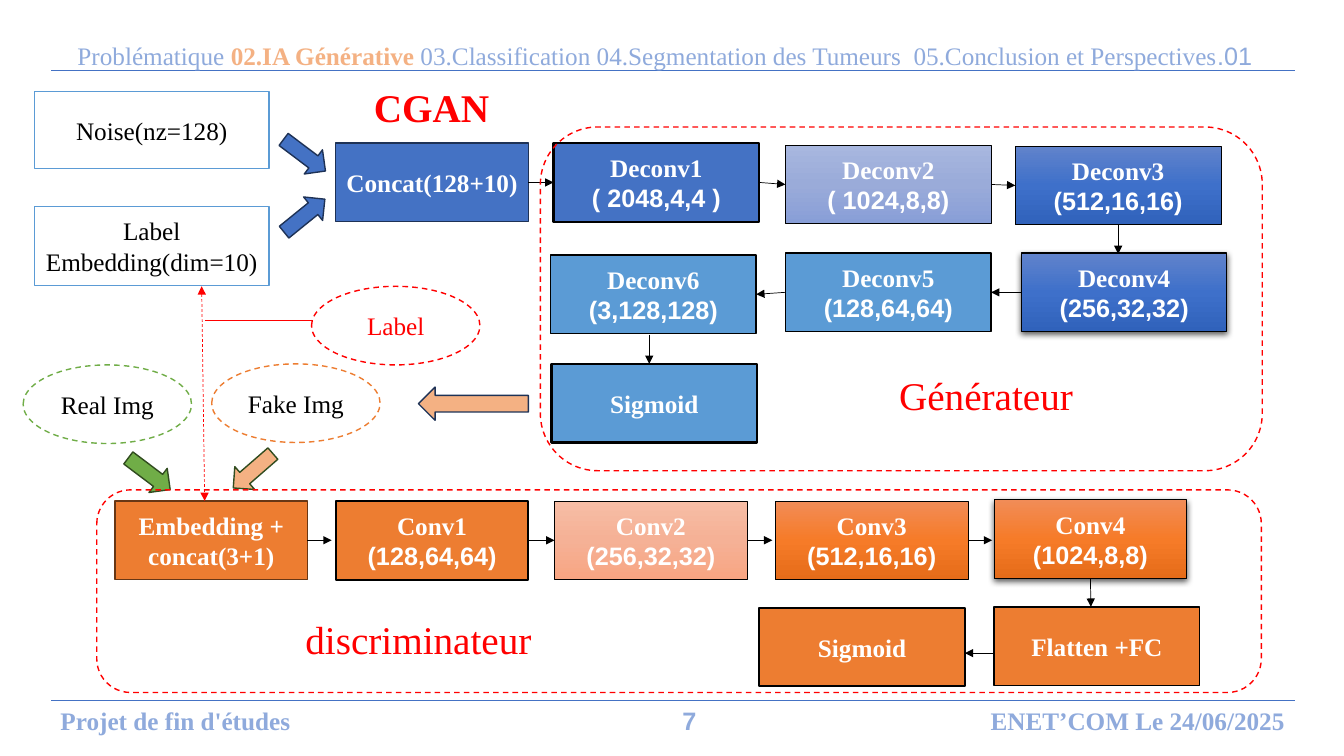
from copy import deepcopy

from lxml.etree import SubElement
from pptx import Presentation
from pptx.dml.color import RGBColor
from pptx.enum.dml import MSO_LINE
from pptx.enum.shapes import MSO_CONNECTOR, MSO_SHAPE
from pptx.enum.text import MSO_ANCHOR, MSO_AUTO_SIZE, PP_ALIGN
from pptx.oxml.ns import qn
from pptx.util import Inches, Pt

WHITE, BLACK, RED = RGBColor(255, 255, 255), RGBColor(0, 0, 0), RGBColor(255, 0, 0)
BLUE, SKY, PALE_BLUE = RGBColor(0x44, 0x72, 0xC4), RGBColor(0x5B, 0x9B, 0xD5), RGBColor(0x8F, 0xAA, 0xDC)
ORANGE, PEACH, GREEN = RGBColor(0xED, 0x7D, 0x31), RGBColor(0xF4, 0xB1, 0x83), RGBColor(0x70, 0xAD, 0x47)
NAVY, BROWN, MOSS = RGBColor(0x1E, 0x32, 0x56), RGBColor(0x68, 0x37, 0x15), RGBColor(0x31, 0x4C, 0x1F)
BLUE_FADE = [RGBColor.from_string(c) for c in ("6183CB", "3E70CA", "3062BB")]
LILAC_FADE = [RGBColor.from_string(c) for c in ("A8B7DF", "9AABD9", "889ED7")]
ORANGE_FADE = [RGBColor.from_string(c) for c in ("F18C57", "F67B28", "E56C19")]
SALMON_FADE = [RGBColor.from_string(c) for c in ("F7BDA5", "F5B196", "F8A582")]

FONT, DIGIT_FONT = "Times New Roman", "Arial"
WIDE, NARROW, HEIGHT = 2.04, 1.91, 0.78
TOP, LEFT, BOTTOM, RIGHT = 0, 1, 2, 3

# left, top, width, alignment, runs of (text, colour, bold)
TEXTS = [
    (0.24, 6.95, 3, PP_ALIGN.CENTER, [("Projet de fin d'études", PALE_BLUE, True)]),
    (6.18, 6.95, 6.66, PP_ALIGN.RIGHT, [("ENET’COM Le 24/06/2025", PALE_BLUE, True)]),
    (6.67, 6.95, 2.11, None, [("7", PALE_BLUE, True)]),
    (0.67, 0.35, 12.22, None, [
        ("01.Problématique ", PALE_BLUE, False),
        ("02.IA Générative ", PEACH, True),
        ("03.Classification 04.Segmentation des Tumeurs  05.Conclusion et Perspectives", PALE_BLUE, False)]),
]
RULES = [0.7, 6.95]

# name: lines, left, top, width, fill, outline, outline width
BLOCKS = {
    "concat": (["Concat(128+10)"], 3.33, 1.42, NARROW, BLUE, NAVY, 1),
    "deconv1": (["Deconv1", "( 2048,4,4 )"], 5.49, 1.42, WIDE, BLUE, BLACK, 1.5),
    "deconv2": (["Deconv2", "(1024,8,8 )"], 7.79, 1.44, WIDE, LILAC_FADE, BLACK, 0.5),
    "deconv3": (["Deconv3", "(512,16,16)"], 10.07, 1.45, WIDE, BLUE_FADE, BLACK, 0.5),
    "deconv4": (["Deconv4", "(256,32,32)"], 10.13, 2.51, WIDE, BLUE_FADE, BLACK, 0.75),
    "deconv5": (["Deconv5", "(128,64,64)"], 7.79, 2.51, WIDE, SKY, BLACK, 1),
    "deconv6": (["Deconv6", "(3,128,128)"], 5.46, 2.53, WIDE, SKY, BLACK, 1),
    "generator sigmoid": (["Sigmoid"], 5.47, 3.61, WIDE, SKY, BLACK, 1.5),
    "embedding": (["Embedding + concat(3+1)"], 1.14, 4.97, NARROW, ORANGE, BROWN, 1),
    "conv1": (["Conv1", "(128,64,64)"], 3.33, 4.97, NARROW, ORANGE, BLACK, 1.5),
    "conv2": (["Conv2", "(256,32,32)"], 5.5, 4.97, NARROW, SALMON_FADE, BLACK, 0.5),
    "conv3": (["Conv3", "(512,16,16)"], 7.69, 4.97, NARROW, ORANGE_FADE, BLACK, 0.5),
    "conv4": (["Conv4", "(1024,8,8)"], 9.86, 4.96, NARROW, ORANGE_FADE, BLACK, 0.75),
    "flatten": (["Flatten +FC"], 9.86, 6.02, WIDE, ORANGE, BLACK, 1),
    "discriminator sigmoid": (["Sigmoid"], 7.53, 6.03, WIDE, ORANGE, BLACK, 1.5),
}
SHADOWED = ["deconv4", "conv4"]
INPUTS = [("Noise(nz=128)", 0.91, 0.76), ("Label Embedding(dim=10)", 2.05, HEIGHT)]
BUBBLES = [
    ("Fake Img", 2.1, 3.61, ORANGE, BLACK),
    ("Real Img", 0.23, 3.62, GREEN, BLACK),
    ("Label", 3.09, 2.84, RED, RED),
]
# text, left, top, width, height, bold
TITLES = [
    ("Générateur", 8.41, 3.46, 2.74, 0.92, False),
    ("discriminateur", 2.34, 5.88, 3.62, 0.92, False),
    ("CGAN", 3.06, 0.78, 2.44, 0.57, True),
]
FRAMES = [(5.36, 1.26, 7.16, 3.41), (0.96, 4.86, 11.55, 2.01)]
# preset, left, top, width, height, rotation, fill, outline
BLOCK_ARROWS = [
    (MSO_SHAPE.RIGHT_ARROW, 2.76, 1.99, 0.52, 0.3, 321, BLUE, NAVY),
    (MSO_SHAPE.RIGHT_ARROW, 2.76, 1.39, 0.52, 0.3, 37, BLUE, NAVY),
    (MSO_SHAPE.LEFT_ARROW, 4.15, 3.84, 1.09, 0.33, 0, PEACH, NAVY),
    (MSO_SHAPE.RIGHT_ARROW, 1.22, 4.55, 0.52, 0.3, 37, GREEN, MOSS),
    (MSO_SHAPE.RIGHT_ARROW, 2.25, 4.52, 0.52, 0.3, 139, PEACH, MOSS),
]
# each end is a (block, side) pair or a point
LINKS = [
    (("concat", RIGHT), ("deconv1", LEFT)),
    (("deconv1", RIGHT), ("deconv2", LEFT)),
    (("deconv2", RIGHT), ("deconv3", LEFT)),
    (("deconv3", BOTTOM), (11.09, 2.52)),
    (("deconv4", LEFT), ("deconv5", RIGHT)),
    (("deconv5", LEFT), ("deconv6", RIGHT)),
    ((6.44, 3.32), (6.44, 3.61)),
    (("embedding", RIGHT), (3.29, 5.36)),
    (("conv1", RIGHT), ("conv2", LEFT)),
    (("conv2", RIGHT), (7.66, 5.36)),
    (("conv3", RIGHT), (9.84, 5.36)),
    (("conv4", BOTTOM), (10.82, 6.02)),
    ((9.86, 6.48), (9.57, 6.48)),
]

deck = Presentation()
deck.slide_width, deck.slide_height = Inches(13.33), Inches(7.5)
page = deck.slides.add_slide(deck.slide_layouts[6])
blocks = {}


def write(frame, paragraphs, size=18, align=PP_ALIGN.CENTER):
    """Fill a text frame with right-to-left paragraphs of (text, colour, bold) runs."""
    frame.word_wrap = True
    for index, runs in enumerate(paragraphs):
        para = frame.add_paragraph() if index else frame.paragraphs[0]
        para.alignment = align
        para._p.get_or_add_pPr().set("rtl", "1")
        for text, color, bold in runs:
            span = para.add_run()
            span.text = text
            for key, value in {"name": FONT, "size": Pt(size), "bold": bold}.items():
                setattr(span.font, key, value)
            span.font.color.rgb = color
            SubElement(span._r.get_or_add_rPr(), qn("a:cs"), typeface=DIGIT_FONT)


def paint(shape, fill):
    """Fill with one colour, a three-colour vertical gradient, or nothing."""
    if fill is None:
        shape.fill.background()
    elif isinstance(fill, list):
        shape.fill.gradient()
        shape.fill.gradient_angle = 270
        stop_list = shape._element.spPr.find(".//" + qn("a:gsLst"))
        stop_list.insert(1, deepcopy(stop_list[0]))
        for stop, position, color in zip(shape.fill.gradient_stops, (0, 0.5, 1), fill):
            stop.position = position
            stop.color.rgb = color
    else:
        shape.fill.solid()
        shape.fill.fore_color.rgb = fill


def add_shape(preset, left, top, width, height, fill, outline=None, weight=1, dashed=False):
    shape = page.shapes.add_shape(preset, *map(Inches, (left, top, width, height)))
    shape.shadow.inherit = False
    paint(shape, fill)
    if outline is None:
        shape.line.fill.background()
    else:
        shape.line.color.rgb = outline
        shape.line.width = Pt(weight)
    if dashed:
        shape.line.dash_style = MSO_LINE.DASH
    shape.text_frame.vertical_anchor = MSO_ANCHOR.MIDDLE
    return shape


def add_line(begin, end, color, arrows=(), dashed=False):
    points = [(0, 0) if isinstance(spot[0], str) else spot for spot in (begin, end)]
    line = page.shapes.add_connector(
        MSO_CONNECTOR.STRAIGHT, *(Inches(value) for point in points for value in point))
    for spot, connect in ((begin, line.begin_connect), (end, line.end_connect)):
        if isinstance(spot[0], str):
            connect(blocks[spot[0]], spot[1])
    line.line.color.rgb = color
    line.line.width = Pt(0.5)
    if dashed:
        line.line.dash_style = MSO_LINE.DASH
    for arrow in arrows:
        SubElement(line.line._get_or_add_ln(), qn(arrow), type="triangle")
    SubElement(line._element.spPr, qn("a:effectLst"))


def add_shadow(shape):
    effects = shape._element.spPr.find(qn("a:effectLst"))
    shadow = SubElement(effects, qn("a:outerShdw"), blurRad=str(Pt(4.5)), dist=str(Pt(1.5)),
                        dir="5400000", algn="ctr", rotWithShape="0")
    color = SubElement(shadow, qn("a:srgbClr"), val="000000")
    SubElement(color, qn("a:alpha"), val="63000")


for y in RULES:
    add_line((0.51, y), (12.84, y), BLUE)
for name, (lines, left, top, width, fill, outline, weight) in BLOCKS.items():
    blocks[name] = add_shape(MSO_SHAPE.RECTANGLE, left, top, width, HEIGHT, fill, outline, weight)
    write(blocks[name].text_frame, [[(line, WHITE, True)] for line in lines])
for name in SHADOWED:
    add_shadow(blocks[name])
for text, top, height in INPUTS:
    box = add_shape(MSO_SHAPE.RECTANGLE, 0.34, top, 2.33, height, WHITE, SKY)
    write(box.text_frame, [[(text, BLACK, False)]])
for preset, left, top, width, height, rotation, fill, outline in BLOCK_ARROWS:
    add_shape(preset, left, top, width, height, fill, outline).rotation = rotation
for text, left, top, outline, color in BUBBLES:
    bubble = add_shape(MSO_SHAPE.OVAL, left, top, 1.67, HEIGHT, WHITE, outline, dashed=True)
    write(bubble.text_frame, [[(text, color, False)]])
for begin, end in LINKS:
    add_line(begin, end, BLACK, ["a:tailEnd"])
add_line((2.03, 3.18), (3.09, 3.18), RED)
add_line((2, 2.84), (2.03, 4.97), RED, ["a:headEnd", "a:tailEnd"], dashed=True)
for text, left, top, width, height, bold in TITLES:
    title = add_shape(MSO_SHAPE.OVAL, left, top, width, height, WHITE)
    write(title.text_frame, [[(text, RED, bold)]], size=28)
for frame_area in FRAMES:
    add_shape(MSO_SHAPE.ROUNDED_RECTANGLE, *frame_area, None, RED, dashed=True)
for left, top, width, align, runs in TEXTS:
    box = page.shapes.add_textbox(*map(Inches, (left, top, width, 0.4)))
    write(box.text_frame, [runs], align=align)
    box.text_frame.auto_size = MSO_AUTO_SIZE.SHAPE_TO_FIT_TEXT

deck.save("out.pptx")
